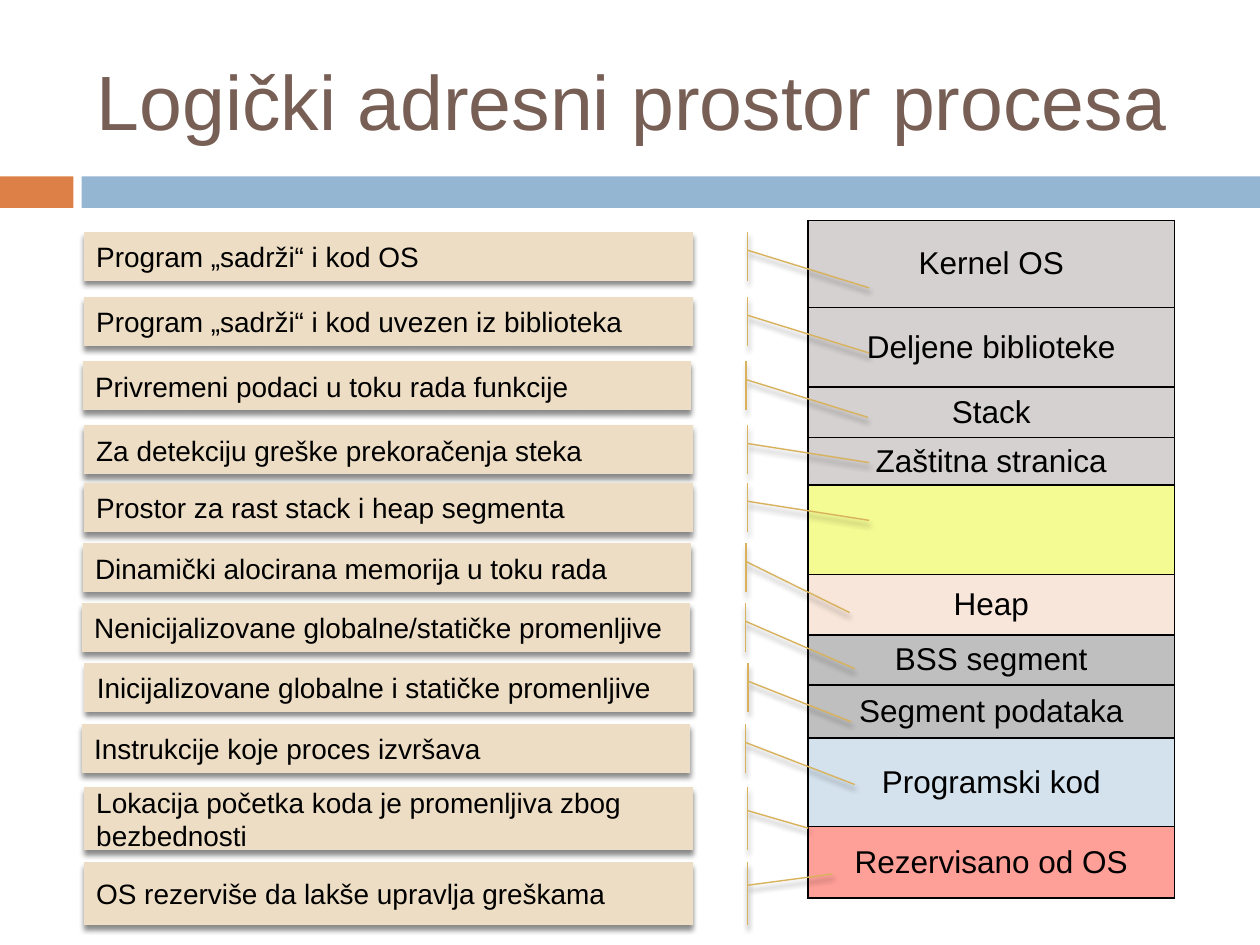
import pptx
import pptx.util
import pptx.dml.color
import pptx.enum.shapes
import pptx.enum.text
import pptx.oxml
import pptx.oxml.ns
from lxml import etree

Pt = pptx.util.Pt
RGB = pptx.dml.color.RGBColor
MSO_SHAPE = pptx.enum.shapes.MSO_SHAPE
PP_ALIGN = pptx.enum.text.PP_ALIGN
MIDDLE = pptx.enum.text.MSO_ANCHOR.MIDDLE
qn = pptx.oxml.ns.qn

FONT = "Arial"
BLACK = RGB(0x00, 0x00, 0x00)
BROWN = RGB(0x77, 0x5F, 0x55)
ORANGE = RGB(0xDD, 0x80, 0x47)
BLUE = RGB(0x94, 0xB6, 0xD2)
SAND = RGB(0xED, 0xDD, 0xC4)
GOLD = RGB(0xD8, 0xB2, 0x5C)
LIGHT_GRAY = RGB(0xD5, 0xD1, 0xD1)
YELLOW = RGB(0xF4, 0xFB, 0x93)
PEACH = RGB(0xF8, 0xE6, 0xDA)
GRAY = RGB(0xBF, 0xBF, 0xBF)
PALE_BLUE = RGB(0xD4, 0xE2, 0xED)
RED = RGB(0xFE, 0x9F, 0x98)

# Segment name, row height, fill
SEGMENTS = [
    ("Kernel OS", 49.7, LIGHT_GRAY),
    ("Deljene biblioteke", 45.4, LIGHT_GRAY),
    ("Stack", 28.8, LIGHT_GRAY),
    ("Zaštitna stranica", 26, LIGHT_GRAY),
    ("", 51, YELLOW),
    ("Heap", 34.5, PEACH),
    ("BSS segment", 28.8, GRAY),
    ("Segment podataka", 30.2, GRAY),
    ("Programski kod", 50.5, PALE_BLUE),
    ("Rezervisano od OS", 41, RED),
]

# Text, left and top offset, height, pointer end as fractions (y, x) of the box
NOTES = [
    ("Program „sadrži“ i kod OS", 1.2, 0, 28, 1.14, -0.29),
    ("Program „sadrži“ i kod uvezen iz biblioteka", 1.2, 37.2, 28, 1.14, -0.29),
    ("Privremeni podaci u toku rada funkcije", 0.5, 74, 28, 1.14, -0.29),
    ("Za detekciju greške prekoračenja steka", 1.2, 110.5, 28, 0.76, -0.29),
    ("Prostor za rast stack i heap segmenta", 1.2, 143.5, 28, 0.76, -0.29),
    ("Dinamički alocirana memorija u toku rada", 0.5, 178, 28, 1.41, -0.26),
    ("Nenicijalizovane globalne/statičke promenljive", 0, 212, 28, 1.34, -0.27),
    ("Inicijalizovane globalne i statičke promenljive", 1.5, 246.3, 28, 1.2, -0.26),
    ("Instrukcije koje proces izvršava", 0, 281.3, 28, 1.23, -0.27),
    ("Lokacija početka koda je promenljiva zbog bezbednosti", 1.2, 317.3, 36, 0.65, -0.19),
    ("OS rezerviše da lakše upravlja greškama", 1.2, 360, 36, 0.19, -0.23),
]


def write(tf, text, size, color, align=PP_ALIGN.LEFT):
    tf.text = text
    p = tf.paragraphs[0]
    p.alignment = align
    for r in p.runs:
        r.font.name, r.font.size = FONT, Pt(size)
        r.font.color.rgb = color


def add_title(s, x, y, w, h):
    sp = s.shapes.title
    sp.left, sp.top, sp.width, sp.height = Pt(x), Pt(y), Pt(w), Pt(h)
    tf = sp.text_frame
    tf.word_wrap = True
    tf.auto_size = pptx.enum.text.MSO_AUTO_SIZE.NONE
    tf.vertical_anchor = MIDDLE
    write(tf, "Logički adresni prostor procesa", 44, BROWN)


def add_band(s, x, y, w, h):
    """Draw the two-colour rule, with a short orange part at the left."""
    short, gap = 42, 4.7
    rest = short + gap
    for left, width, color in [(x, short, ORANGE), (x + rest, w - rest, BLUE)]:
        sp = s.shapes.add_shape(MSO_SHAPE.RECTANGLE, Pt(left), Pt(y), Pt(width), Pt(h))
        sp.shadow.inherit = False
        sp.fill.solid()
        sp.fill.fore_color.rgb = color
        sp.line.fill.background()


def add_borders(cell):
    pr = cell._tc.get_or_add_tcPr()
    for i, side in enumerate(("lnL", "lnR", "lnT", "lnB")):
        ln = pptx.oxml.parse_xml(
            f'<a:{side} {pptx.oxml.ns.nsdecls("a")} w="{Pt(1)}"><a:solidFill>'
            f'<a:srgbClr val="{BLACK}"/></a:solidFill></a:{side}>')
        pr.insert(i, ln)


def add_memory_map(s, x, y, w):
    h = sum(height for _, height, _ in SEGMENTS)
    table = s.shapes.add_table(len(SEGMENTS), 1, Pt(x), Pt(y), Pt(w), Pt(h)).table
    table.first_row = table.horz_banding = False
    for i, (name, height, color) in enumerate(SEGMENTS):
        table.rows[i].height = Pt(height)
        cell = table.cell(i, 0)
        cell.vertical_anchor = MIDDLE
        cell.fill.solid()
        cell.fill.fore_color.rgb = color
        write(cell.text_frame, name, 18, BLACK, PP_ALIGN.CENTER)
        add_borders(cell)


def add_soft_shadow(sp):
    sp.shadow.inherit = False
    effects = sp._element.spPr.find(qn("a:effectLst"))
    shadow = etree.SubElement(effects, qn("a:outerShdw"), blurRad=str(Pt(3)),
                              dist=str(Pt(2.4)), dir="5400000", rotWithShape="0")
    color = etree.SubElement(shadow, qn("a:srgbClr"), val=str(BLACK))
    etree.SubElement(color, qn("a:alpha"), val="45000")


def add_notes(s, x, y, w):
    """Stack the callouts, mirrored so that they point right at the segments."""
    for text, dx, dy, h, end_y, end_x in NOTES:
        sp = s.shapes.add_shape(MSO_SHAPE.LINE_CALLOUT_1_ACCENT_BAR,
                                Pt(x + dx), Pt(y + dy), Pt(w), Pt(h))
        sp._element.spPr.find(qn("a:xfrm")).set("flipH", "1")
        for i, value in enumerate((0.37, -0.09, end_y, end_x)):
            sp.adjustments[i] = value
        sp.fill.solid()
        sp.fill.fore_color.rgb = SAND
        sp.line.color.rgb = GOLD
        sp.line.width = Pt(0.79)
        add_soft_shadow(sp)
        tf = sp.text_frame
        tf.word_wrap = True
        tf.vertical_anchor = MIDDLE
        write(tf, text, 16, BLACK)


def main():
    prs = pptx.Presentation()
    prs.slide_width, prs.slide_height = Pt(720), Pt(540)
    s = prs.slides.add_slide(prs.slide_layouts[5])
    add_band(s, 0, 100.8, 720, 18)
    add_title(s, 48, 18, 642, 78)
    add_memory_map(s, 461.7, 126, 209.5)
    add_notes(s, 46.8, 132.6, 347.8)
    prs.save("out.pptx")


if __name__ == "__main__":
    main()
